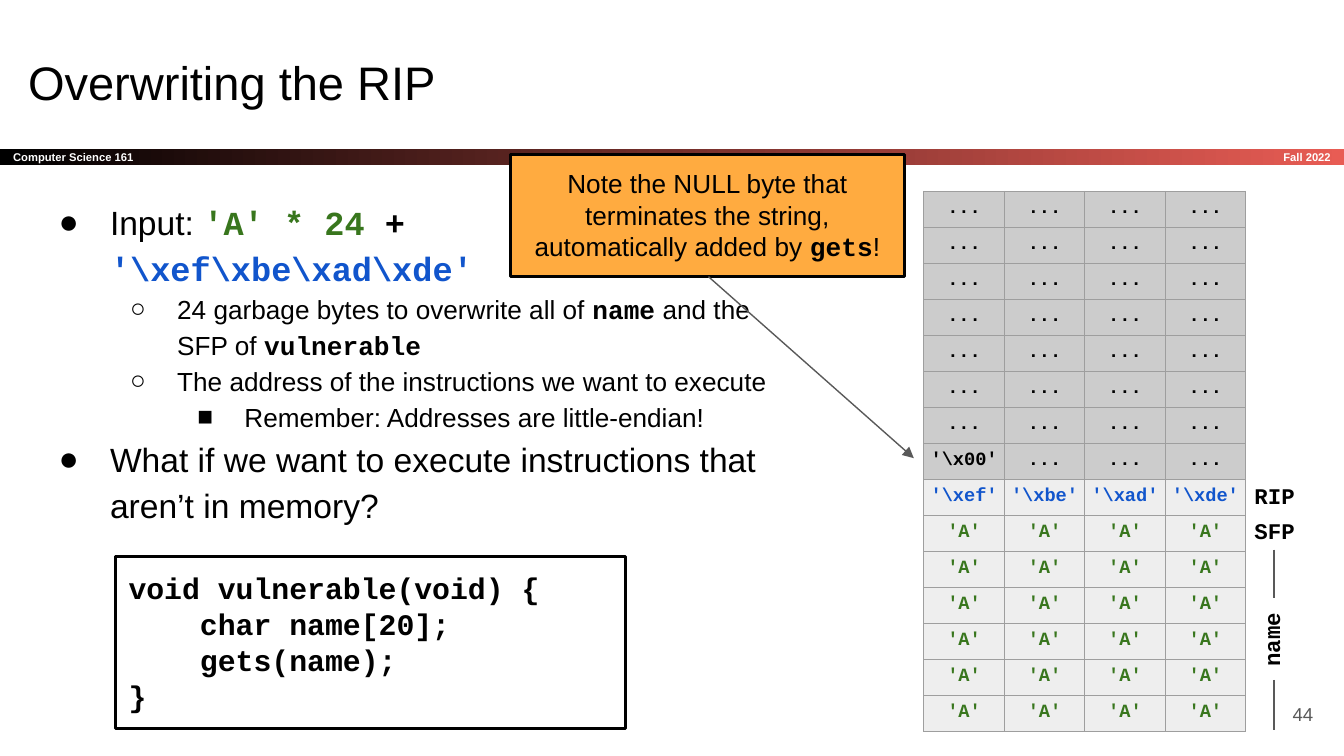
from lxml.etree import SubElement
from pptx import Presentation
from pptx.dml.color import RGBColor
from pptx.enum.shapes import MSO_CONNECTOR, MSO_SHAPE
from pptx.enum.text import MSO_ANCHOR, MSO_AUTO_SIZE, PP_ALIGN
from pptx.oxml.ns import qn
from pptx.util import Cm, Pt

# Theme
THEME = {
    "sans": "Arial", "mono": "Courier New",
    "black": "000000", "white": "FFFFFF", "red": "E85C54", "grey": "595959",
    "green": "38761D", "blue": "1155CC", "orange": "FFAB40",
    "above": "CCCCCC", "written": "EEEEEE", "border": "9E9E9E",
    "title": 25.2, "body": 18, "sub": 14, "code": 16,
    "label": 12, "cell": 10, "strip": 6,
}

# Content: a run is (text, font, colour), and mono runs are bold
TITLE = "Overwriting the RIP"
COURSE, TERM, PAGE = "Computer Science 161", "Fall 2022", "44"
BULLETS = [
    (0, [("Input: ", "sans", "black"), ("'A' * 24", "mono", "green"),
         (" + ", "mono", "black"), (r"'\xef\xbe\xad\xde'", "mono", "blue")]),
    (1, [("24 garbage bytes to overwrite all of ", "sans", "black"),
         ("name", "mono", "black"), (" and the SFP of ", "sans", "black"),
         ("vulnerable", "mono", "black")]),
    (1, [("The address of the instructions we want to execute", "sans", "black")]),
    (2, [("Remember: Addresses are little-endian!", "sans", "black")]),
    (0, [("What if we want to execute instructions that aren’t in memory?",
          "sans", "black")]),
]
# Per level: bullet, text indent and hanging indent in cm, size
LEVELS = [("●", 1.27, 0.97, "body"), ("○", 2.54, 0.89, "sub"), ("■", 3.81, 0.89, "sub")]
CODE = ["void vulnerable(void) {", "    char name[20];", "    gets(name);", "}"]
NOTE = [("Note the NULL byte that terminates the string, automatically added by ",
         "sans", "black"), ("gets", "mono", "black"), ("!", "sans", "black")]
# Stack rows: values, text colour, fill
STACK = (
    [(["..."] * 4, "black", "above")] * 7
    + [([r"'\x00'", "...", "...", "..."], "black", "above"),
       ([r"'\xef'", r"'\xbe'", r"'\xad'", r"'\xde'"], "blue", "written")]
    + [(["'A'"] * 4, "green", "written")] * 6
)


def rgb(name):
    return RGBColor.from_string(THEME[name])


def write(tf, paragraphs, size="sub", align=PP_ALIGN.LEFT, anchor=MSO_ANCHOR.TOP,
          inset=(0.25, 0.25)):
    """Fill a text frame; each paragraph is a list of (text, font, colour) runs."""
    tf.word_wrap, tf.auto_size, tf.vertical_anchor = True, MSO_AUTO_SIZE.NONE, anchor
    tf.margin_left = tf.margin_right = Cm(inset[0])
    tf.margin_top = tf.margin_bottom = Cm(inset[1])
    for i, runs in enumerate(paragraphs):
        p = tf.paragraphs[0] if i == 0 else tf.add_paragraph()
        p.alignment = align
        for text, font, colour in runs:
            r = p.add_run()
            r.text = text
            r.font.name, r.font.size = THEME[font], Pt(THEME[size])
            r.font.bold = font == "mono" or size == "strip"
            r.font.color.rgb = rgb(colour)


def add_text(s, box, paragraphs, **fmt):
    tb = s.shapes.add_textbox(*map(Cm, box))
    write(tb.text_frame, paragraphs, **fmt)
    return tb


def add_box(s, box, fill, paragraphs, **fmt):
    sp = s.shapes.add_shape(MSO_SHAPE.RECTANGLE, *map(Cm, box))
    sp.shadow.inherit = False
    sp.fill.solid()
    sp.fill.fore_color.rgb = rgb(fill)
    sp.line.color.rgb, sp.line.width = rgb("black"), Pt(1.5)
    write(sp.text_frame, paragraphs, **fmt)
    return sp


def add_line(s, ends, arrow=False):
    ln = s.shapes.add_connector(MSO_CONNECTOR.STRAIGHT, *map(Cm, ends))
    ln.line.color.rgb, ln.line.width = rgb("grey"), Pt(0.75)
    if arrow:
        SubElement(ln.line._get_or_add_ln(), qn("a:tailEnd"), type="triangle")
    SubElement(ln._element.spPr, qn("a:effectLst"))


def add_bullet(p, level):
    char, left, hang, size = LEVELS[level]
    pPr = p._p.get_or_add_pPr()
    pPr.set("marL", str(Cm(left)))
    pPr.set("indent", str(-Cm(hang)))
    SubElement(SubElement(pPr, qn("a:buClr")), qn("a:srgbClr"), val=THEME["black"])
    SubElement(pPr, qn("a:buFont"), typeface=THEME["sans"])
    SubElement(pPr, qn("a:buChar"), char=char)
    p.level, p.line_spacing = level, 1.15
    for r in p.runs:
        r.font.size = Pt(THEME[size])


def style_cell(cell, fill):
    tcPr = cell._tc.get_or_add_tcPr()
    for side in ("lnL", "lnR", "lnT", "lnB"):
        ln = SubElement(tcPr, qn(f"a:{side}"), w=str(Pt(0.75)))
        SubElement(SubElement(ln, qn("a:solidFill")), qn("a:srgbClr"), val=THEME["border"])
    cell.fill.solid()
    cell.fill.fore_color.rgb = rgb(fill)


def main():
    prs = Presentation()
    prs.slide_width, prs.slide_height = Cm(25.4), Cm(14.29)
    s = prs.slides.add_slide(prs.slide_layouts[5])

    # Header strip
    strip = add_box(s, (0, 2.82, 25.4, 0.31), "black", [[(COURSE, "sans", "white")]],
                    size="strip", anchor=MSO_ANCHOR.MIDDLE)
    strip.line.fill.background()
    strip.fill.gradient()
    strip.fill.gradient_angle = 0
    for stop, colour, pos in zip(strip.fill.gradient_stops, ("black", "red"), (0, 1)):
        stop.color.rgb, stop.position = rgb(colour), pos
    add_text(s, (21.18, 2.82, 4.22, 0.31), [[(TERM, "sans", "white")]], size="strip",
             align=PP_ALIGN.RIGHT, anchor=MSO_ANCHOR.MIDDLE)

    # Title and page number
    title = s.shapes.title
    title.left, title.top, title.width, title.height = map(Cm, (0.28, 0.76, 23.67, 1.6))
    write(title.text_frame, [[(TITLE, "sans", "black")]], size="title")
    add_text(s, (23.55, 12.95, 1.52, 1.09), [[(PAGE, "sans", "grey")]], size="cell",
             align=PP_ALIGN.RIGHT, anchor=MSO_ANCHOR.MIDDLE)

    # Bullets
    body = add_text(s, (0.56, 3.45, 14.27, 10.46), [runs for _, runs in BULLETS])
    for p, (level, _) in zip(body.text_frame.paragraphs, BULLETS):
        add_bullet(p, level)

    # Code box, then the note with its arrow
    add_box(s, (2.18, 10.52, 9.65, 3.25), "white",
            [[(line, "mono", "black")] for line in CODE], size="code")
    add_box(s, (9.65, 2.92, 7.44, 2.31), "orange", [NOTE], align=PP_ALIGN.CENTER)
    add_line(s, (13.39, 5.23, 17.27, 8.66), arrow=True)

    # Stack table
    left, top, col_w, row_h = 17.46, 3.62, 1.52, 0.68
    rows, cols = len(STACK), len(STACK[0][0])
    frame = s.shapes.add_table(rows, cols, Cm(left), Cm(top),
                               Cm(cols * col_w), Cm(rows * row_h))
    table = frame.table
    table.first_row = table.horz_banding = False
    for col in table.columns:
        col.width = Cm(col_w)
    for i, (values, colour, fill) in enumerate(STACK):
        table.rows[i].height = Cm(row_h)
        for j, value in enumerate(values):
            cell = table.cell(i, j)
            write_cell = cell.text_frame
            write(write_cell, [[(value, "mono", colour)]], size="cell",
                  align=PP_ALIGN.CENTER, inset=(0.05, 0.13))
            cell.margin_left = cell.margin_right = Cm(0.05)
            cell.margin_top = cell.margin_bottom = Cm(0.13)
            style_cell(cell, fill)

    # Stack labels
    for label, box, turn in (("name", (22.38, 11.53, 3.4, 1.12), 270),
                             ("SFP", (23.39, 9.53, 1.4, 1.12), 0),
                             ("RIP", (23.39, 8.86, 1.4, 1.12), 0)):
        add_text(s, box, [[(label, "mono", "black")]], size="label",
                 align=PP_ALIGN.CENTER).rotation = turn
    for y1, y2 in ((10.39, 11.3), (12.85, 13.79)):
        add_line(s, (24.08, y1, 24.08, y2))

    prs.save("out.pptx")


if __name__ == "__main__":
    main()
